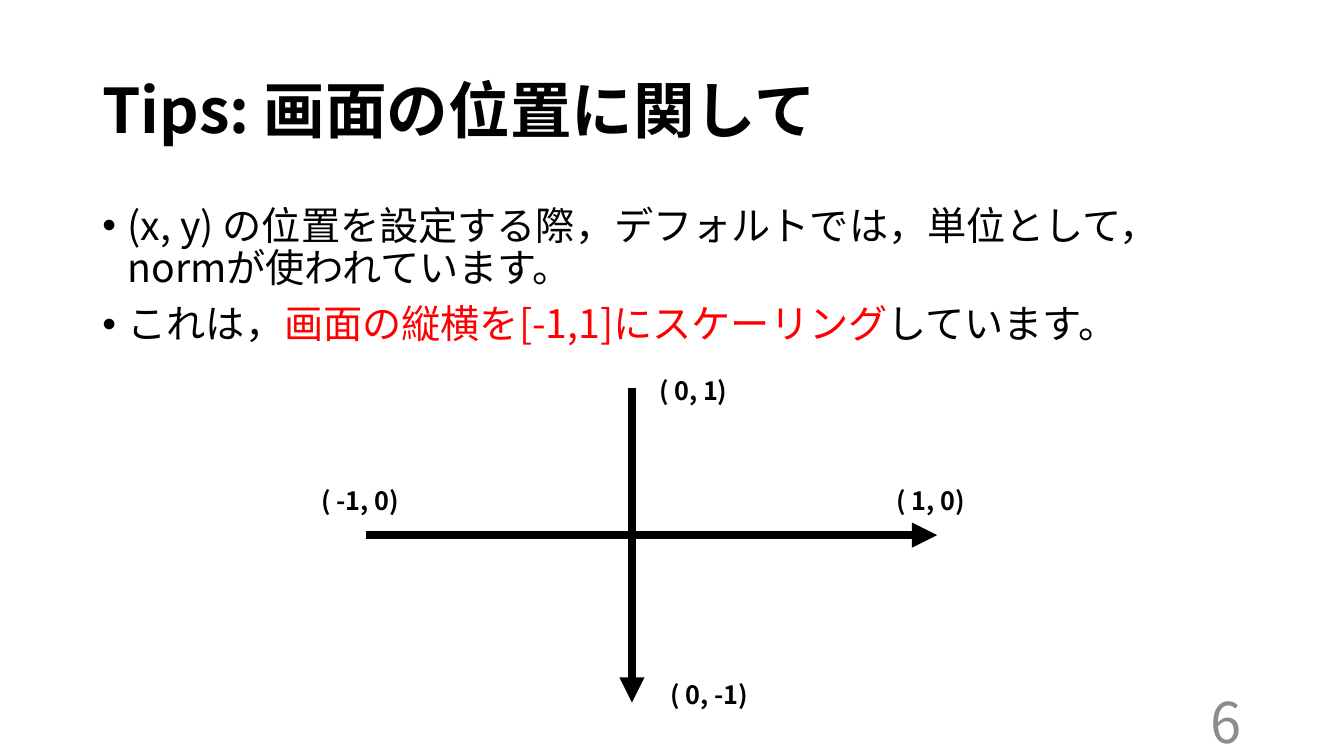
from dataclasses import dataclass

from lxml import etree
from pptx import Presentation
from pptx.dml.color import RGBColor
from pptx.enum.shapes import MSO_CONNECTOR
from pptx.enum.text import MSO_ANCHOR, MSO_AUTO_SIZE, PP_ALIGN
from pptx.oxml.ns import qn
from pptx.util import Pt

STRAIGHT = MSO_CONNECTOR.STRAIGHT
TOP, MIDDLE = MSO_ANCHOR.TOP, MSO_ANCHOR.MIDDLE
LEFT, RIGHT = PP_ALIGN.LEFT, PP_ALIGN.RIGHT
NO_FIT, GROW = MSO_AUTO_SIZE.NONE, MSO_AUTO_SIZE.SHAPE_TO_FIT_TEXT


@dataclass(frozen=True)
class Theme:
    """Font, colours and type sizes of the deck."""
    font: str = "Noto Sans CJK JP"
    ink: RGBColor = RGBColor(0, 0, 0)
    accent: RGBColor = RGBColor(255, 0, 0)
    muted: RGBColor = RGBColor(0x8C, 0x8C, 0x8C)
    title: int = 44
    body: int = 28
    label: int = 18
    number: int = 40
    axis: int = 6


THEME = Theme()


def style_run(r, size, color=THEME.ink, bold=False):
    """Apply the theme font to Latin and East Asian text of a run."""
    r.font.name = THEME.font
    r.font.size = Pt(size)
    r.font.bold = bold
    r.font.color.rgb = color
    ea = etree.Element(qn("a:ea"), typeface=THEME.font)
    r.font._element.find(qn("a:latin")).addnext(ea)


def place(sp, box):
    """Move a shape to a box given in points."""
    sp.left, sp.top, sp.width, sp.height = (Pt(v) for v in box)


def add_title(s, box, text):
    """Fill the title placeholder."""
    sp = s.shapes.title
    place(sp, box)
    tf = sp.text_frame
    tf.text = text
    tf.auto_size = NO_FIT
    tf.vertical_anchor = MIDDLE
    p = tf.paragraphs[0]
    p.alignment = LEFT
    p.line_spacing = 0.9
    style_run(p.runs[0], THEME.title, bold=True)


def add_bullets(s, box, items):
    """Fill the body placeholder with bullets made of coloured runs."""
    sp = s.placeholders[1]
    place(sp, box)
    tf = sp.text_frame
    tf.auto_size = NO_FIT
    tf.vertical_anchor = TOP
    for i, item in enumerate(items):
        p = tf.add_paragraph() if i else tf.paragraphs[0]
        pPr = p._p.get_or_add_pPr()
        pPr.set("marL", str(Pt(18)))
        pPr.set("indent", str(Pt(-18)))
        etree.SubElement(pPr, qn("a:buFont"), typeface="Arial")
        etree.SubElement(pPr, qn("a:buChar"), char="•")
        p.line_spacing = 0.9
        p.space_before = Pt(10 if i else 0)
        for text, color in item:
            r = p.add_run()
            r.text = text
            style_run(r, THEME.body, color)


def add_axis(s, x1, y1, x2, y2):
    """Draw a thick axis with an arrowhead at its end."""
    c = s.shapes.add_connector(STRAIGHT, Pt(x1), Pt(y1), Pt(x2), Pt(y2))
    c.line.color.rgb = THEME.ink
    c.line.width = Pt(THEME.axis)
    etree.SubElement(c.line._ln, qn("a:tailEnd"), type="triangle")
    etree.SubElement(c._element.spPr, qn("a:effectLst"))


def add_label(s, x, y, w, text):
    """Write a bold coordinate label that does not wrap."""
    tf = s.shapes.add_textbox(Pt(x), Pt(y), Pt(w), Pt(29)).text_frame
    tf.text = text
    tf.word_wrap = False
    tf.auto_size = GROW
    style_run(tf.paragraphs[0].runs[0], THEME.label, bold=True)


def add_axes(s, box):
    """Draw the two screen axes and label their ends."""
    x, y, w, h = box
    origin_x, origin_y = x + 190, y + 105
    add_axis(s, origin_x, y, origin_x, y + h)
    add_axis(s, x, origin_y, x + w, origin_y)
    side_y = origin_y - 39
    for left, top, width, text in (
        (origin_x + 12.3, y - 13, 65.5, "( 0, 1)"),
        (origin_x + 20.2, y + h - 20, 73.5, "( 0, -1)"),
        (x - 39, side_y, 73.5, "( -1, 0)"),
        (x + w - 36, side_y, 65.5, "( 1, 0)"),
    ):
        add_label(s, left, top, width, text)


def add_number(s, box, text):
    """Write the page number at the right edge of its box."""
    tf = s.shapes.add_textbox(*(Pt(v) for v in box)).text_frame
    tf.text = text
    tf.word_wrap = True
    tf.vertical_anchor = MIDDLE
    p = tf.paragraphs[0]
    p.alignment = RIGHT
    style_run(p.runs[0], THEME.number, THEME.muted)


def main():
    """Build the slide and save it."""
    prs = Presentation()
    prs.slide_width, prs.slide_height = Pt(960), Pt(540)
    s = prs.slides.add_slide(prs.slide_layouts[1])
    add_title(s, (66, 28.75, 828, 104.4), "Tips: 画面の位置に関して")
    add_bullets(s, (66, 143.75, 828, 342.6), [
        [("(x, y) の位置を設定する際，デフォルトでは，単位として，normが使われています。", THEME.ink)],
        [("これは，", THEME.ink),
         ("画面の縦横を[-1,1]にスケーリング", THEME.accent),
         ("しています。", THEME.ink)],
    ])
    add_axes(s, (261.4, 277.2, 408, 224.6))
    add_number(s, (678, 500.5, 216, 28.75), "6")
    prs.save("out.pptx")


if __name__ == "__main__":
    main()
